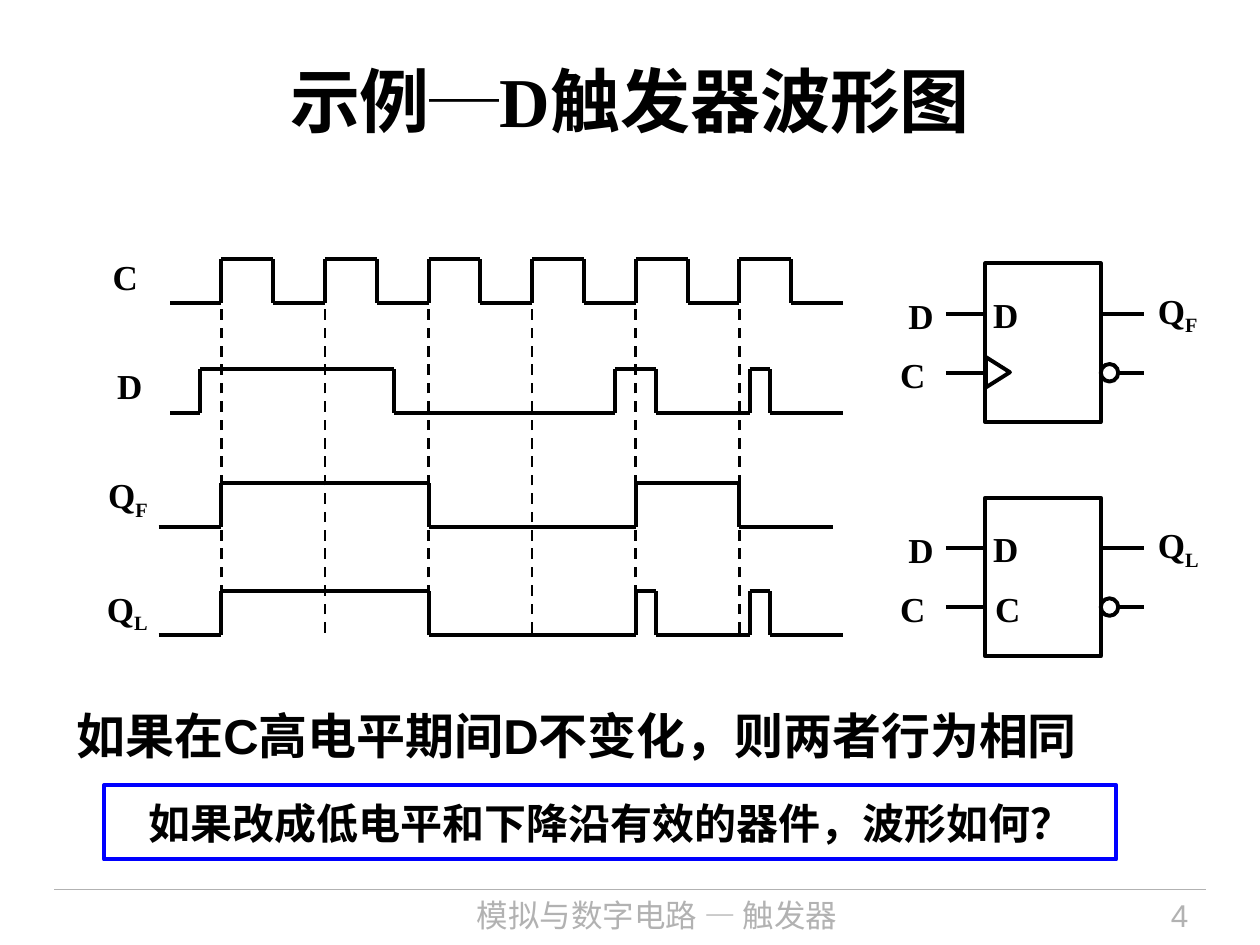
from itertools import pairwise

from lxml.etree import SubElement
from pptx import Presentation
from pptx.dml.color import RGBColor
from pptx.enum.dml import MSO_LINE
from pptx.enum.shapes import MSO_CONNECTOR, MSO_SHAPE
from pptx.enum.text import MSO_ANCHOR, PP_ALIGN
from pptx.oxml.ns import qn
from pptx.util import Pt

COLORS = {"ink": "000000", "paper": "FFFFFF", "muted": "B2B2B2", "accent": "0000FF"}
SERIF = "Times New Roman"
SANS = "Arial"
CHINESE = "Noto Sans CJK SC"


class SlideBuilder:
    line_width = 2.25
    label_size = 20

    def __init__(self, slide):
        self.slide = slide

    def color(self, name):
        return RGBColor.from_string(COLORS[name])

    def line(self, x1, y1, x2, y2, color="ink", width=line_width, dash=None):
        connector = self.slide.shapes.add_connector(
            MSO_CONNECTOR.STRAIGHT, Pt(x1), Pt(y1), Pt(x2), Pt(y2))
        connector.line.color.rgb = self.color(color)
        connector.line.width = Pt(width)
        if dash:
            connector.line.dash_style = dash
        SubElement(connector._element.spPr, qn("a:effectLst"))

    def shape(self, kind, left, top, width, height, color="ink", fill=None):
        shape = self.slide.shapes.add_shape(kind, Pt(left), Pt(top), Pt(width), Pt(height))
        shape.shadow.inherit = False
        shape.line.color.rgb = self.color(color)
        shape.line.width = Pt(self.line_width)
        if fill:
            shape.fill.solid()
            shape.fill.fore_color.rgb = self.color(fill)
        else:
            shape.fill.background()
        return shape

    def run(self, paragraph, text, size, font, color="ink", bold=True, baseline=None):
        run = paragraph.add_run()
        run.text = text
        run.font.size = Pt(size)
        run.font.name = font
        run.font.bold = bold
        run.font.color.rgb = self.color(color)
        properties = run._r.get_or_add_rPr()
        SubElement(properties, qn("a:ea")).set("typeface", CHINESE)
        if baseline:
            properties.set("baseline", str(baseline))

    def text(self, left, top, width, height, text, size, font, color="ink", bold=True,
             align=PP_ALIGN.LEFT, anchor=MSO_ANCHOR.TOP, wrap=True):
        box = self.slide.shapes.add_textbox(Pt(left), Pt(top), Pt(width), Pt(height))
        frame = box.text_frame
        frame.word_wrap = wrap
        frame.vertical_anchor = anchor
        paragraph = frame.paragraphs[0]
        paragraph.alignment = align
        self.run(paragraph, text, size, font, color, bold)
        return paragraph

    def label(self, left, top, text, subscript=None):
        width = 40 if subscript else 30
        paragraph = self.text(left, top, width, 32, text, self.label_size, SERIF)
        if subscript:
            self.run(paragraph, subscript, self.label_size, SERIF, baseline=-25000)

    def framed_text(self, left, top, width, height, text, size):
        shape = self.shape(MSO_SHAPE.RECTANGLE, left, top, width, height, "accent")
        frame = shape.text_frame
        frame.word_wrap = False
        frame.vertical_anchor = MSO_ANCHOR.MIDDLE
        paragraph = frame.paragraphs[0]
        paragraph.alignment = PP_ALIGN.CENTER
        self.run(paragraph, text, size, SANS)

    def waveform(self, start, edges, end, low):
        high = low - 25
        level = low
        for x, next_x in pairwise([start, *edges, end]):
            self.line(x, level, next_x, level)
            if next_x != end:
                self.line(next_x, low, next_x, high)
                level = low + high - level

    def flip_flop(self, top, subscript, edge_triggered):
        left, right = 563, 629
        data_y, clock_y = top + 29, top + 62.5
        self.shape(MSO_SHAPE.RECTANGLE, left, top, right - left, 90.7)
        for y in (data_y, clock_y):
            self.line(540.5, y, left, y)
            self.line(right, y, 653.5, y)
        self.shape(MSO_SHAPE.OVAL, right, clock_y - 5, 10, 10, fill="paper")
        self.label(560.5, top + 13.7, "D")
        if edge_triggered:
            triangle = self.shape(MSO_SHAPE.FLOWCHART_EXTRACT, 561.6, top + 55.4, 17.3, 13.7)
            triangle.rotation = 90
        else:
            self.label(561.6, top + 47.7, "C")
        self.label(507.3, top + 47.9, "C")
        self.label(512, top + 14, "D")
        self.label(654.5, top + 11.2, "Q", subscript)


def main():
    presentation = Presentation()
    presentation.slide_width, presentation.slide_height = Pt(720), Pt(540)
    slide = presentation.slides.add_slide(presentation.slide_layouts[6])
    builder = SlideBuilder(slide)

    builder.line(31, 508.3, 689, 508.3, "muted", 0.75)
    builder.text(172.8, 508.3, 405.4, 31.7, "模拟与数字电路 — 触发器", 18, CHINESE,
                 "muted", False, PP_ALIGN.CENTER)
    builder.text(590.4, 508.3, 95.8, 31.7, "4", 18, SANS, "muted", False, PP_ALIGN.RIGHT)
    builder.text(36, 12, 648, 90, "示例─D触发器波形图", 40, SERIF,
                 align=PP_ALIGN.CENTER, anchor=MSO_ANCHOR.MIDDLE)

    half_period = 29.6
    clock_edges = [126.5 + half_period * step for step in range(12)]
    rising = clock_edges[::2]
    for x in rising:
        builder.line(x, 361.5, x, 151.2, width=1.5, dash=MSO_LINE.DASH)

    data_edges = [114.5, 225.4, 351.4, 375.1, 428.4, 440]
    flip_flop_edges = [rising[0], rising[2], rising[4], rising[5]]
    latch_edges = [rising[0], rising[2], rising[4], *data_edges[3:]]
    builder.waveform(97.2, clock_edges, 481.7, 173)
    builder.waveform(97.2, data_edges, 481.7, 236)
    builder.waveform(90.7, flip_flop_edges, 475.9, 301)
    builder.waveform(90.7, latch_edges, 481.7, 363)

    builder.label(57.3, 142.6, "C")
    builder.label(59.8, 204.5, "D")
    builder.label(54.7, 267.1, "Q", "F")
    builder.label(54, 332, "Q", "L")

    builder.flip_flop(150.5, "F", edge_triggered=True)
    builder.flip_flop(284.4, "L", edge_triggered=False)

    builder.text(36.7, 399.6, 612.7, 41, "如果在C高电平期间D不变化，则两者行为相同", 28, SANS,
                 wrap=False)
    builder.framed_text(59.4, 448.6, 578.5, 42.5,
                        "如果改成低电平和下降沿有效的器件，波形如何？", 24)
    presentation.save("out.pptx")


if __name__ == "__main__":
    main()
